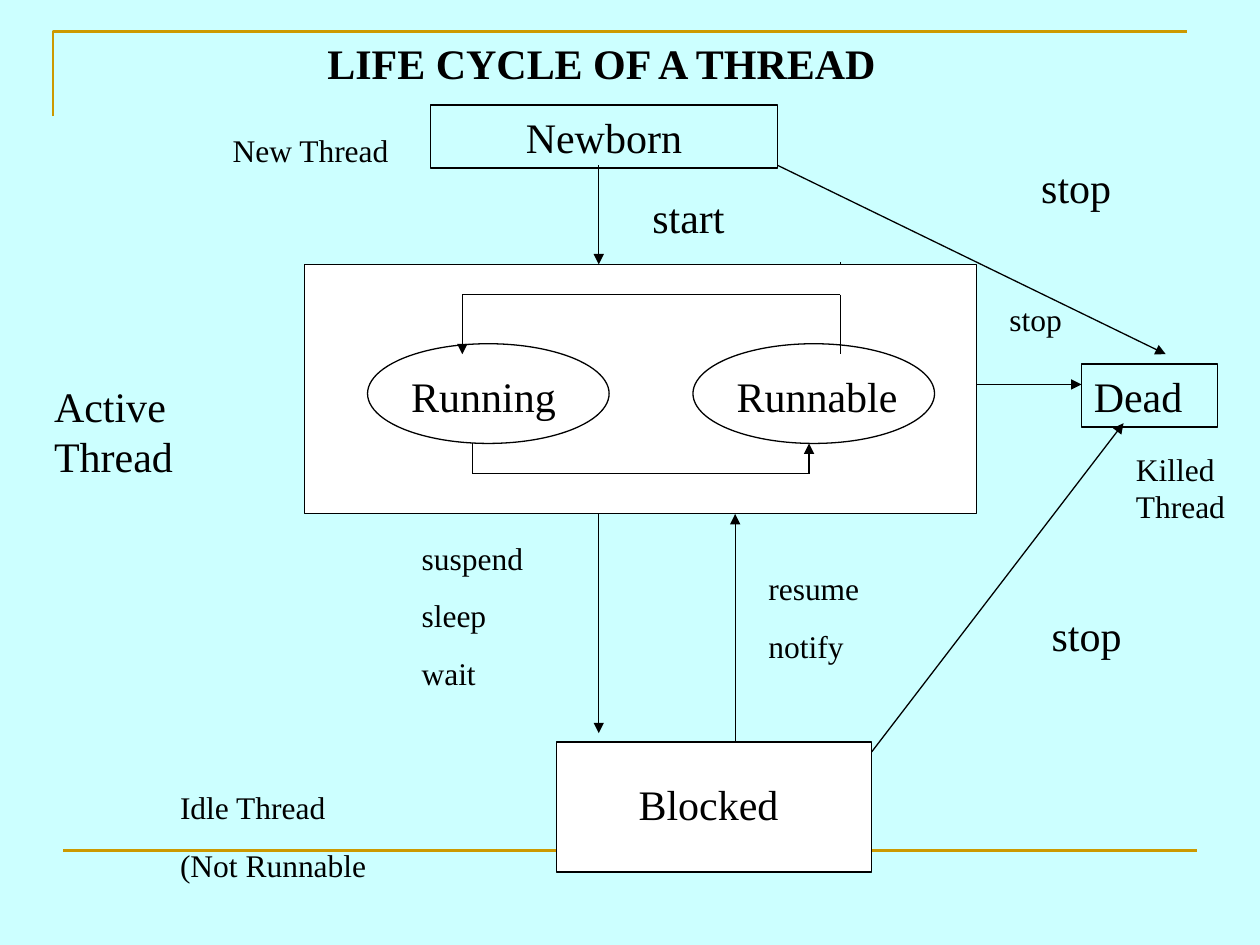
from dataclasses import dataclass

from lxml.etree import SubElement
from pptx import Presentation
from pptx.dml.color import RGBColor as RGB
from pptx.enum.shapes import MSO_CONNECTOR as Link, MSO_SHAPE as Kind
from pptx.enum.text import MSO_ANCHOR as Anchor, PP_ALIGN as Align
from pptx.oxml.ns import qn
from pptx.util import Cm, Pt


@dataclass(frozen=True)
class Theme:
    back: RGB = RGB(0xCC, 0xFF, 0xFF)
    gold: RGB = RGB(0xCC, 0x99, 0x00)
    ink: RGB = RGB(0, 0, 0)
    white: RGB = RGB(0xFF, 0xFF, 0xFF)
    font: str = "Times New Roman"
    big: int = 24
    small: int = 18
    thin: float = 0.75
    thick: float = 1.5
    gap: float = 11.25


THEME = Theme()


def draw_edge(line, color=THEME.ink, width=THEME.thin):
    line.color.rgb = color
    line.width = Pt(width)


def write(shape, lines, size, align=Align.LEFT, bold=False):
    """Put one paragraph per line into the shape."""
    frame = shape.text_frame
    frame.word_wrap = True
    frame.vertical_anchor = Anchor.TOP
    for num, line in enumerate(lines):
        para = frame.add_paragraph() if num else frame.paragraphs[0]
        para.alignment = align
        if num:
            para.space_before = Pt(THEME.gap)
        run = para.add_run()
        run.text = line
        run.font.name = THEME.font
        run.font.size = Pt(size)
        run.font.bold = bold
        run.font.color.rgb = THEME.ink


def add_label(slide, box, *lines, size=THEME.big, **style):
    label = slide.shapes.add_textbox(*map(Cm, box))
    write(label, lines, size, **style)


def add_state(slide, kind, box, fill=None, text=None, align=Align.LEFT):
    state = slide.shapes.add_shape(kind, *map(Cm, box))
    state.shadow.inherit = False
    if fill is None:
        state.fill.background()
    else:
        state.fill.solid()
        state.fill.fore_color.rgb = fill
    draw_edge(state.line)
    if text:
        write(state, [text], THEME.big, align)


def add_line(slide, start, end, arrow=False, color=THEME.ink, width=THEME.thin):
    line = slide.shapes.add_connector(Link.STRAIGHT, *map(Cm, start + end))
    draw_edge(line.line, color, width)
    if arrow:
        SubElement(line.line._get_or_add_ln(), qn("a:tailEnd"), type="triangle")
    SubElement(line._element.spPr, qn("a:effectLst"))


def add_frame(slide):
    """Gold corner at the top left and gold rule at the foot."""
    pen = slide.shapes.build_freeform(Cm(1.07), Cm(2.34), scale=1.0)
    pen.add_line_segments([(Cm(1.07), Cm(0.64)), (Cm(23.93), Cm(0.64))], close=False)
    corner = pen.convert_to_shape()
    corner.shadow.inherit = False
    corner.fill.background()
    draw_edge(corner.line, THEME.gold, THEME.thick)
    add_line(slide, (1.27, 17.15), (24.13, 17.15),
             color=THEME.gold, width=THEME.thick)


def add_states(slide):
    add_state(slide, Kind.RECTANGLE, (8.68, 2.12, 6.99, 1.27),
              text="Newborn", align=Align.CENTER)
    add_state(slide, Kind.RECTANGLE, (6.14, 5.33, 13.55, 5.03), THEME.white)
    for left in (7.41, 13.97):
        add_state(slide, Kind.OVAL, (left, 6.93, 4.87, 2.01), THEME.white)
    add_state(slide, Kind.RECTANGLE, (21.8, 7.34, 2.75, 1.27), text="Dead")
    add_state(slide, Kind.RECTANGLE, (11.22, 14.96, 6.35, 2.62), THEME.white)


def add_labels(slide):
    add_label(slide, (6.35, 0.64, 12.7, 1.27), "LIFE CYCLE OF A THREAD", bold=True)
    add_label(slide, (11.64, 15.57, 5.29, 1.27), "Blocked", align=Align.CENTER)
    for box, text in (
        ((8.04, 7.34, 3.6, 1.27), "Running"),
        ((14.6, 7.34, 4.02, 1.27), "Runnable"),
        ((0.84, 7.54, 5.08, 2.29), "Active Thread"),
        ((12.9, 3.73, 2.33, 1.27), "start"),
        ((20.74, 3.13, 2.75, 1.27), "stop"),
        ((20.95, 12.17, 3.18, 1.27), "stop"),
    ):
        add_label(slide, box, text)
    for box, *lines in (
        ((20.1, 5.92, 1.7, 1.02), "stop"),
        ((4.44, 2.51, 4.24, 1.02), "New Thread"),
        ((22.65, 8.94, 2.75, 1.78), "Killed Thread"),
        ((15.24, 11.35, 3.18, 2.18), "resume", "notify"),
        ((8.25, 10.74, 3.6, 3.33), "suspend", "sleep", "wait"),
        ((3.38, 15.77, 5.29, 2.18), "Idle Thread", "(Not Runnable"),
    ):
        add_label(slide, box, *lines, size=THEME.small)


def add_links(slide):
    for start, end in (
        ((16.31, 9.55), (9.53, 9.55)),
        ((9.53, 9.55), (9.53, 8.94)),
        ((9.32, 5.94), (16.94, 5.94)),
        ((16.94, 5.94), (16.94, 7.14)),
    ):
        add_line(slide, start, end)
    for start, end in (
        ((16.31, 9.55), (16.31, 8.94)),
        ((9.32, 5.94), (9.32, 7.14)),
        ((12.07, 3.33), (12.07, 5.33)),
        ((15.67, 3.33), (23.5, 7.14)),
        ((19.69, 7.75), (21.8, 7.75)),
        ((14.82, 14.96), (14.82, 10.36)),
        ((12.07, 10.36), (12.07, 14.78)),
        ((17.57, 15.16), (22.65, 8.53)),
    ):
        add_line(slide, start, end, arrow=True)


def main():
    deck = Presentation()
    deck.slide_width, deck.slide_height = Cm(25.4), Cm(19.05)
    slide = deck.slides.add_slide(deck.slide_layouts[6])
    slide.background.fill.solid()
    slide.background.fill.fore_color.rgb = THEME.back
    add_frame(slide)
    add_line(slide, (16.94, 5.28), (16.94, 6.35))
    add_states(slide)
    add_labels(slide)
    add_links(slide)
    deck.save("out.pptx")


if __name__ == "__main__":
    main()
